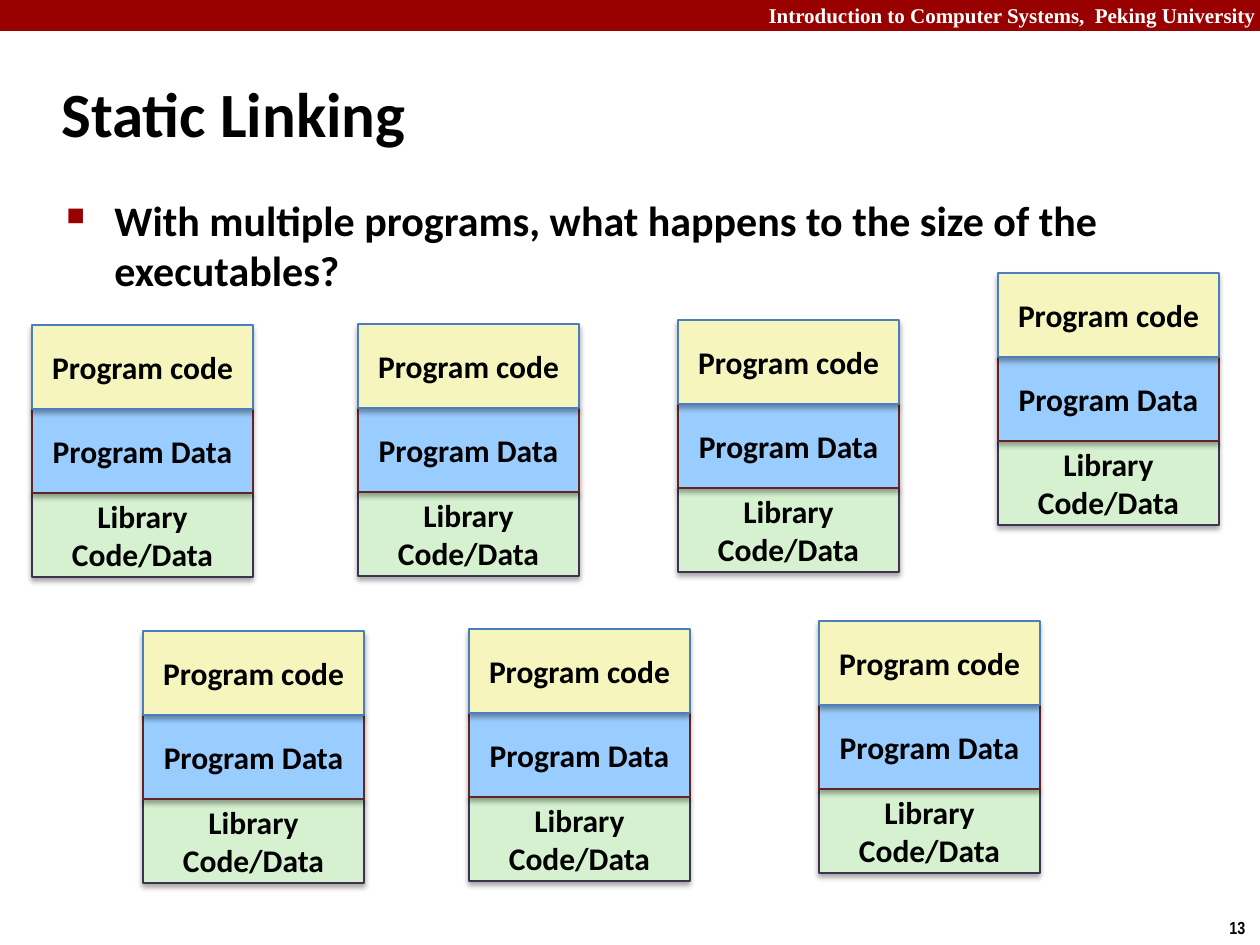
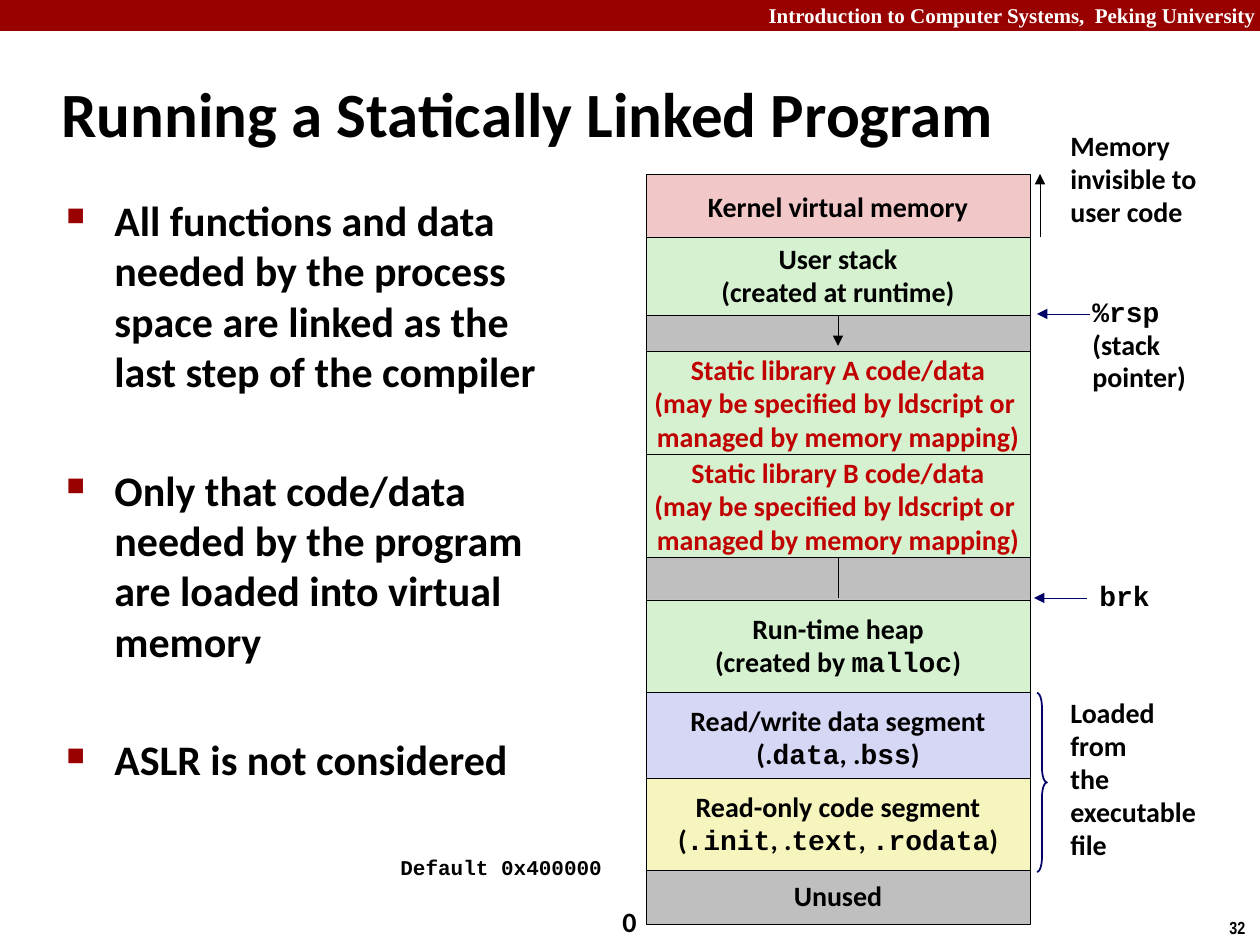
from lxml import etree
from pptx import Presentation
from pptx.dml.color import RGBColor
from pptx.enum.shapes import MSO_CONNECTOR, MSO_SHAPE
from pptx.enum.text import MSO_ANCHOR, PP_ALIGN
from pptx.oxml.ns import qn
from pptx.util import Emu, Pt

RECTANGLE, RIGHT_BRACE = MSO_SHAPE.RECTANGLE, MSO_SHAPE.RIGHT_BRACE
STRAIGHT = MSO_CONNECTOR.STRAIGHT
LEFT, CENTER, RIGHT = PP_ALIGN.LEFT, PP_ALIGN.CENTER, PP_ALIGN.RIGHT
TOP, MIDDLE = MSO_ANCHOR.TOP, MSO_ANCHOR.MIDDLE

PX_PER_INCH = 126
BODY_FONT, CODE_FONT = "Calibri", "Courier New"
HEADER_FONT, NUMBER_FONT = "Times New Roman", "Arial Narrow"

BLACK = RGBColor(0x00, 0x00, 0x00)
WHITE = RGBColor(0xFF, 0xFF, 0xFF)
DARK_RED = RGBColor(0x99, 0x00, 0x00)
RED = RGBColor(0xC0, 0x00, 0x00)
NAVY = RGBColor(0x00, 0x00, 0x66)
PINK = RGBColor(0xF1, 0xC7, 0xC7)
GREEN = RGBColor(0xD5, 0xF1, 0xCF)
GRAY = RGBColor(0xBF, 0xBF, 0xBF)
LAVENDER = RGBColor(0xD6, 0xD6, 0xF5)
YELLOW = RGBColor(0xF6, 0xF5, 0xBD)
BLUE = RGBColor(0x99, 0xCC, 0xFF)
BLUE_EDGE = RGBColor(0x4B, 0x7E, 0xBC)
MAROON_EDGE = RGBColor(0x63, 0x25, 0x23)
PURPLE_EDGE = RGBColor(0x40, 0x31, 0x52)

CARD_WIDTH, CARD_HEIGHT = 221, 84
# Bottom to top, so that each card casts its shadow on the one below
EXECUTABLE_PARTS = [
    ("Library Code/Data", GREEN, PURPLE_EDGE),
    ("Program Data", BLUE, MAROON_EDGE),
    ("Program code", YELLOW, BLUE_EDGE),
]
EXECUTABLE_CORNERS = [(998, 273), (678, 320), (32, 325), (143, 631),
                      (358, 324), (469, 629), (819, 621)]

MAP_LEFT, MAP_WIDTH, MAP_CENTER = 646, 384, 838
LIBRARY_NOTE = ["(may be specified by ldscript or ", "managed by memory mapping)"]


def px(length):
    return Emu(round(length * 914400 / PX_PER_INCH))


def add_styled_run(paragraph, text, size, color, font):
    run = paragraph.add_run()
    run.text = text
    run.font.name = font
    run.font.size = Pt(size)
    run.font.bold = True
    run.font.color.rgb = color


def write_lines(shape, lines, size=16, color=BLACK, font=BODY_FONT,
                align=LEFT, anchor=TOP, spacing=None, wrap=True):
    """Write one paragraph per line; text between backticks is set as code."""
    frame = shape.text_frame
    frame.word_wrap = wrap
    frame.vertical_anchor = anchor
    for index, line in enumerate(lines):
        paragraph = frame.paragraphs[0] if index == 0 else frame.add_paragraph()
        paragraph.alignment = align
        if spacing:
            paragraph.line_spacing = 0.94 if line.startswith("`") else spacing
        for part, text in enumerate(line.split("`")):
            if text:
                add_styled_run(paragraph, text, size, color,
                               CODE_FONT if part % 2 else font)


def add_text(slide, left, top, width, height, lines, **style):
    box = slide.shapes.add_textbox(px(left), px(top), px(width), px(height))
    write_lines(box, lines, **style)
    return box


def add_rectangle(slide, left, top, width, height, fill, edge=None, weight=0.25):
    shape = slide.shapes.add_shape(RECTANGLE, px(left), px(top), px(width), px(height))
    shape.shadow.inherit = False
    shape.fill.solid()
    shape.fill.fore_color.rgb = fill
    if edge is None:
        shape.line.fill.background()
    else:
        shape.line.color.rgb = edge
        shape.line.width = Pt(weight)
    return shape


def add_shadow(shape):
    effects = shape._element.spPr.find(qn("a:effectLst"))
    shadow = etree.SubElement(effects, qn("a:outerShdw"), blurRad=str(Pt(3.1)),
                              dist=str(Pt(1.8)), dir="5400000", rotWithShape="0")
    color = etree.SubElement(shadow, qn("a:srgbClr"), val=str(BLACK))
    etree.SubElement(color, qn("a:alpha"), val="35000")


def add_arrow(slide, start, end, color=BLACK):
    arrow = slide.shapes.add_connector(STRAIGHT, *map(px, start + end))
    arrow.line.color.rgb = color
    arrow.line.width = Pt(0.25)
    etree.SubElement(arrow.line._get_or_add_ln(), qn("a:tailEnd"), type="triangle")
    etree.SubElement(arrow._element.spPr, qn("a:effectLst"))


def add_bullets(slide, width, items):
    box = slide.shapes.add_textbox(px(54), px(188), px(width), px(685))
    frame = box.text_frame
    frame.word_wrap = True
    for index, item in enumerate(items):
        paragraph = frame.paragraphs[0] if index == 0 else frame.add_paragraph()
        properties = paragraph._p.get_or_add_pPr()
        properties.set("marL", str(px(48)))
        properties.set("indent", str(-px(48)))
        color = etree.SubElement(properties, qn("a:buClr"))
        etree.SubElement(color, qn("a:srgbClr"), val=str(DARK_RED))
        etree.SubElement(properties, qn("a:buSzPct"), val="60000")
        etree.SubElement(properties, qn("a:buChar"), char="■")
        if index:
            paragraph.space_before = Pt(39)
        for row, text in enumerate(item.split("\n")):
            if row:
                paragraph.add_line_break()
            add_styled_run(paragraph, text, 24, BLACK, BODY_FONT)


def add_lecture_slide(presentation, title, number):
    """Add a slide with the header band, the title and the page number."""
    slide = presentation.slides.add_slide(presentation.slide_layouts[6])
    add_rectangle(slide, 0, 0, 1260, 31, DARK_RED)
    header = add_text(slide, 756, 0, 504, 31,
                      ["Introduction to Computer Systems,  Peking University"],
                      size=12, color=WHITE, font=HEADER_FONT, align=RIGHT, anchor=MIDDLE)
    header.text_frame.margin_right = px(4)
    page = add_text(slide, 1217, 911, 43, 34, [number], size=10, font=NUMBER_FONT)
    page.text_frame.margin_right = 0
    add_text(slide, 49, 60, 1046, 105, [title], size=36, anchor=MIDDLE)
    return slide


def add_executable(slide, left, top):
    for row, (label, fill, edge) in zip((2, 1, 0), EXECUTABLE_PARTS):
        card = add_rectangle(slide, left, top + row * CARD_HEIGHT,
                             CARD_WIDTH, CARD_HEIGHT, fill, edge, 0.75)
        add_shadow(card)
        write_lines(card, [label], size=18, align=CENTER, anchor=MIDDLE)


def add_segment(slide, top, height, fill, lines=(), color=BLACK, spacing=0.98):
    segment = add_rectangle(slide, MAP_LEFT, top, MAP_WIDTH, height, fill, BLACK)
    write_lines(segment, lines, color=color, align=CENTER, anchor=MIDDLE,
                spacing=spacing, wrap=False)


def add_brace(slide, left, top, width, height):
    brace = slide.shapes.add_shape(RIGHT_BRACE, px(left), px(top), px(width), px(height))
    brace.shadow.inherit = False
    brace.adjustments[0] = 1.42
    brace.adjustments[1] = 0.5
    brace.fill.background()
    brace.line.color.rgb = NAVY
    brace.line.width = Pt(1)


def add_memory_map(slide):
    add_segment(slide, 174, 67, PINK, ["Kernel virtual memory"])
    add_segment(slide, 500, 100, GRAY)
    add_segment(slide, 600, 92, GREEN, ["Run-time heap", "(created by `malloc`)"])
    add_segment(slide, 283, 125, GRAY)
    add_arrow(slide, (MAP_CENTER, 598), (MAP_CENTER, 546))
    add_segment(slide, 237, 78, GREEN, ["User stack", "(created at runtime)"])
    add_arrow(slide, (MAP_CENTER, 315), (MAP_CENTER, 346))
    add_segment(slide, 870, 54, GRAY, ["Unused"])
    add_segment(slide, 692, 92, LAVENDER,
                ["Read/write data segment", "(.`data`, .`bss`)"])
    add_segment(slide, 778, 92, YELLOW,
                ["Read-only code segment", "(`.init`, .`text`, `.rodata`)"])
    for name, top in (("A", 351), ("B", 454)):
        add_segment(slide, top, 103, GREEN,
                    [f"Static library {name} code/data"] + LIBRARY_NOTE, RED, None)


def add_map_labels(slide):
    labels = [
        (610, 900, 46, 45, ["0"]),
        (1080, 291, 130, 111, ["`%rsp`", "(stack", "pointer)"]),
        (1058, 124, 181, 113, ["Memory", "invisible to user code"]),
        (1087, 575, 90, 45, ["`brk`"]),
        (1058, 691, 170, 179, ["Loaded", "from", "the", "executable", "file"]),
    ]
    for left, top, width, height, lines in labels:
        add_text(slide, left, top, width, height, lines, spacing=0.98)
    add_text(slide, 388, 850, 367, 38, ["`Default 0x400000`"], size=12, spacing=0.98)
    add_arrow(slide, (1090, 314), (1037, 314), NAVY)
    add_arrow(slide, (1087, 598), (1034, 598), NAVY)
    add_arrow(slide, (1040, 237), (1040, 174))
    add_brace(slide, 1037, 693, 10, 179)


def main():
    presentation = Presentation()
    presentation.slide_width, presentation.slide_height = px(1260), px(945)

    slide = add_lecture_slide(presentation, "Static Linking", "13")
    add_bullets(slide, 1089, ["With multiple programs, what happens to the size "
                              "of the executables?"])
    for left, top in EXECUTABLE_CORNERS:
        add_executable(slide, left, top)

    slide = add_lecture_slide(presentation, "Running a Statically Linked Program", "32")
    add_bullets(slide, 617, [
        "All functions and data\nneeded by the process\n"
        "space are linked as the\nlast step of the compiler",
        "Only that code/data\nneeded by the program\nare loaded into virtual\nmemory",
        "ASLR is not considered",
    ])
    add_memory_map(slide)
    add_map_labels(slide)

    presentation.save("out.pptx")


if __name__ == "__main__":
    main()
